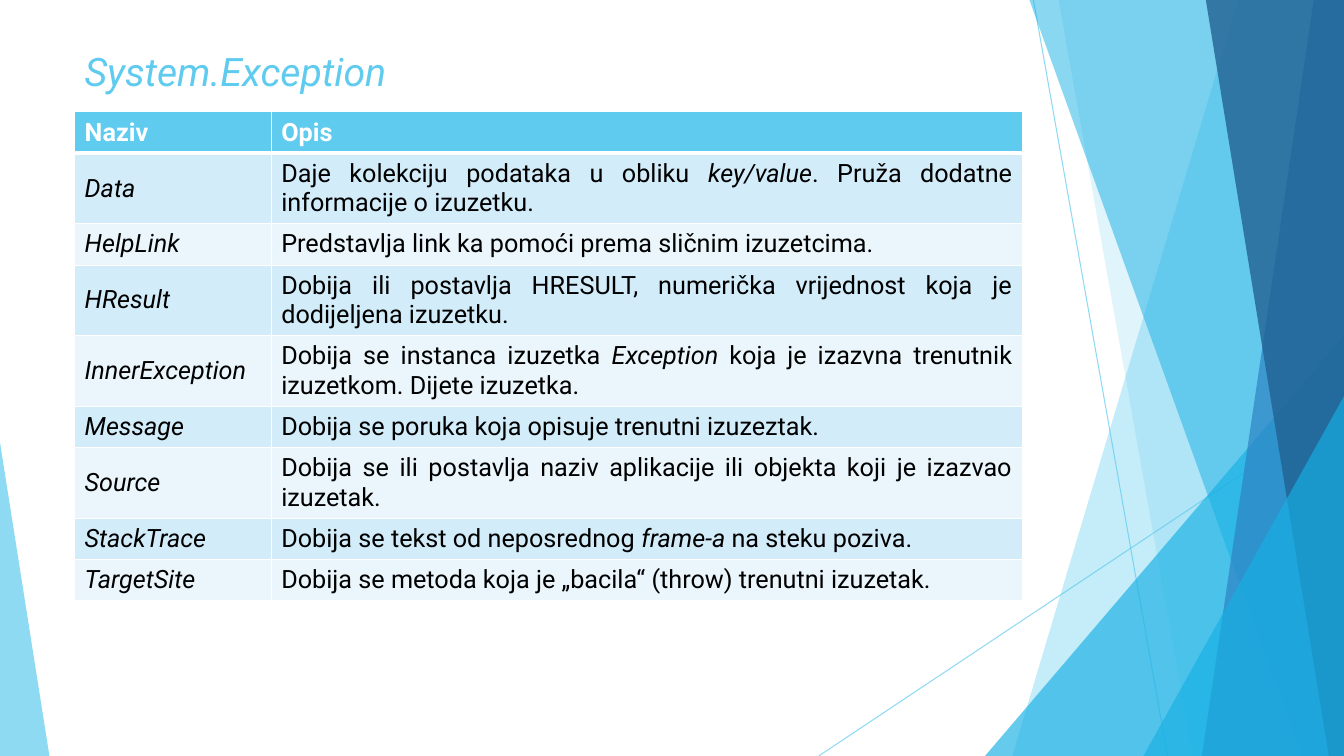
"""Build the System.Exception property table slide with its faceted backdrop."""
from dataclasses import dataclass

from pptx import Presentation, util as u
from pptx.dml.color import RGBColor
from pptx.enum import shapes, text
from pptx.oxml import parse_xml
from pptx.oxml.ns import nsdecls, qn

PX = 9144
WIDTH, HEIGHT = 1333, 750


@dataclass(frozen=True)
class Theme:
    font: str = "Roboto"
    title_size: int = 28
    table_size: int = 18
    sky: str = "5FCBEF"
    cyan: str = "17B0E4"
    blue: str = "2E83C3"
    navy: str = "226292"
    white: str = "FFFFFF"
    black: str = "000000"
    bands: tuple[str, str] = ("D2ECF9", "EAF6FC")


@dataclass(frozen=True)
class Ray:
    start: tuple[int, int]
    end: tuple[int, int]


@dataclass(frozen=True)
class Facet:
    """A panel reaching the right edge, with a slanted left side."""
    top_x: int
    bottom_x: int
    color: str
    opacity: int


@dataclass(frozen=True)
class Wedge:
    left: int
    top: int
    width: int
    apex: int
    color: str
    opacity: int


@dataclass(frozen=True)
class Member:
    """An exception member; asterisks in the description enclose italics."""
    name: str
    description: str


THEME = Theme()
RAYS = [Ray((1025, 0), (1158, HEIGHT)), Ray((WIDTH, 403), (812, HEIGHT))]
BACKDROP: list[Facet | Wedge] = [
    Facet(1228, 1004, THEME.sky, 36),
    Facet(1050, 1183, THEME.sky, 20),
    Wedge(977, 333, 356, 1, THEME.cyan, 66),
    Facet(1021, 1291, THEME.cyan, 50),
    Facet(1303, 1192, THEME.blue, 70),
    Facet(1196, 1318, THEME.navy, 80),
    Wedge(1134, 393, 199, 1, THEME.cyan, 66),
    Wedge(0, 439, 49, 0, THEME.sky, 70),
]
COLUMNS = (195, 745)
ROW_HEIGHT = 41
HEADER = Member("Naziv", "Opis")
MEMBERS = [
    Member("Data", "Daje kolekciju podataka u obliku *key/value*. Pruža dodatne informacije o izuzetku."),
    Member("HelpLink", "Predstavlja link ka pomoći prema sličnim izuzetcima."),
    Member("HResult", "Dobija ili postavlja HRESULT, numerička vrijednost koja je dodijeljena izuzetku."),
    Member("InnerException", "Dobija se instanca izuzetka *Exception* koja je izazvna trenutnik izuzetkom. "
           "Dijete izuzetka."),
    Member("Message", "Dobija se poruka koja opisuje trenutni izuzeztak."),
    Member("Source", "Dobija se ili postavlja naziv aplikacije ili objekta koji je izazvao izuzetak."),
    Member("StackTrace", "Dobija se tekst od neposrednog *frame-a *na steku poziva."),
    Member("TargetSite", "Dobija se metoda koja je „bacila“ (throw) trenutni izuzetak."),
]


def rgb(color: str) -> RGBColor:
    """Convert a hex colour."""
    return RGBColor.from_string(color)


def set_opacity(shape, percent: int) -> None:
    """Make the shape's own colours partly transparent."""
    for color in shape._element.spPr.iter(qn("a:srgbClr")):
        color.append(parse_xml(f'<a:alpha {nsdecls("a")} val="{percent * 1000}"/>'))


def draw_ray(slide, ray: Ray) -> None:
    """Draw one thin translucent line."""
    line = slide.shapes.add_connector(
        shapes.MSO_CONNECTOR.STRAIGHT, *(value * PX for value in ray.start + ray.end))
    line.line.color.rgb = rgb(THEME.sky)
    line.line.width = u.Pt(0.75)
    set_opacity(line, 70)
    line._element.spPr.append(parse_xml(f'<a:effectLst {nsdecls("a")}/>'))


def draw_panel(slide, panel: Facet | Wedge) -> None:
    """Draw one translucent facet or wedge."""
    if isinstance(panel, Facet):
        builder = slide.shapes.build_freeform(panel.top_x, 0, scale=PX)
        builder.add_line_segments([(WIDTH, 0), (WIDTH, HEIGHT), (panel.bottom_x, HEIGHT)])
        shape = builder.convert_to_shape()
    else:
        shape = slide.shapes.add_shape(
            shapes.MSO_SHAPE.ISOSCELES_TRIANGLE, panel.left * PX, panel.top * PX,
            panel.width * PX, (HEIGHT - panel.top) * PX)
        shape.adjustments[0] = panel.apex
    shape.shadow.inherit = False
    shape.fill.solid()
    shape.fill.fore_color.rgb = rgb(panel.color)
    shape.line.fill.background()
    set_opacity(shape, panel.opacity)


def format_run(run, size: int, color: str, bold: bool = False, italic: bool = False) -> None:
    """Apply the theme font to a run."""
    run.font.name = THEME.font
    run.font.size = u.Pt(size)
    run.font.color.rgb = rgb(color)
    run.font.bold = bold
    run.font.italic = italic


def draw_title(slide) -> None:
    """Draw the italic slide title."""
    box = slide.shapes.add_textbox(74 * PX, 41 * PX, 940 * PX, 59 * PX)
    frame = box.text_frame
    frame.word_wrap = True
    frame.vertical_anchor = text.MSO_ANCHOR.MIDDLE
    frame.text = "System.Exception"
    paragraph = frame.paragraphs[0]
    paragraph.alignment = text.PP_ALIGN.JUSTIFY
    format_run(paragraph.runs[0], THEME.title_size, THEME.sky, italic=True)


def set_borders(cell, top: int, bottom: int) -> None:
    """Give a cell white borders, with top and bottom widths in points."""
    properties = cell._tc.get_or_add_tcPr()
    for index, (edge, points) in enumerate((("L", 1), ("R", 1), ("T", top), ("B", bottom))):
        properties.insert(index, parse_xml(
            f'<a:ln{edge} {nsdecls("a")} w="{u.Pt(points)}"><a:solidFill>'
            f'<a:srgbClr val="{THEME.white}"/></a:solidFill></a:ln{edge}>'))


def fill_cell(cell, content: str, row: int, column: int) -> None:
    """Write and style one table cell."""
    header = row == 0
    cell.fill.solid()
    cell.fill.fore_color.rgb = rgb(THEME.sky if header else THEME.bands[(row - 1) % 2])
    set_borders(cell, top=3 if row == 1 else 1, bottom=3 if header else 1)
    cell.vertical_anchor = text.MSO_ANCHOR.MIDDLE
    paragraph = cell.text_frame.paragraphs[0]
    paragraph.alignment = text.PP_ALIGN.JUSTIFY if column else text.PP_ALIGN.LEFT
    for index, part in enumerate(content.split("*")):
        run = paragraph.add_run()
        run.text = part
        italic = not header and (column == 0 or index % 2 == 1)
        format_run(run, THEME.table_size, THEME.white if header else THEME.black, header, italic)


def draw_table(slide) -> None:
    """Draw the table of exception members."""
    members = [HEADER, *MEMBERS]
    table = slide.shapes.add_table(
        len(members), len(COLUMNS), 74 * PX, 111 * PX,
        sum(COLUMNS) * PX, len(members) * ROW_HEIGHT * PX).table
    for column, width in zip(table.columns, COLUMNS):
        column.width = width * PX
    for row, member in enumerate(members):
        for column, content in enumerate((member.name, member.description)):
            fill_cell(table.cell(row, column), content, row, column)


def main() -> None:
    """Create and save the presentation."""
    presentation = Presentation()
    presentation.slide_width, presentation.slide_height = WIDTH * PX, HEIGHT * PX
    slide = presentation.slides.add_slide(presentation.slide_layouts[6])
    for ray in RAYS:
        draw_ray(slide, ray)
    for panel in BACKDROP:
        draw_panel(slide, panel)
    draw_title(slide)
    draw_table(slide)
    presentation.save("out.pptx")


if __name__ == "__main__":
    main()
